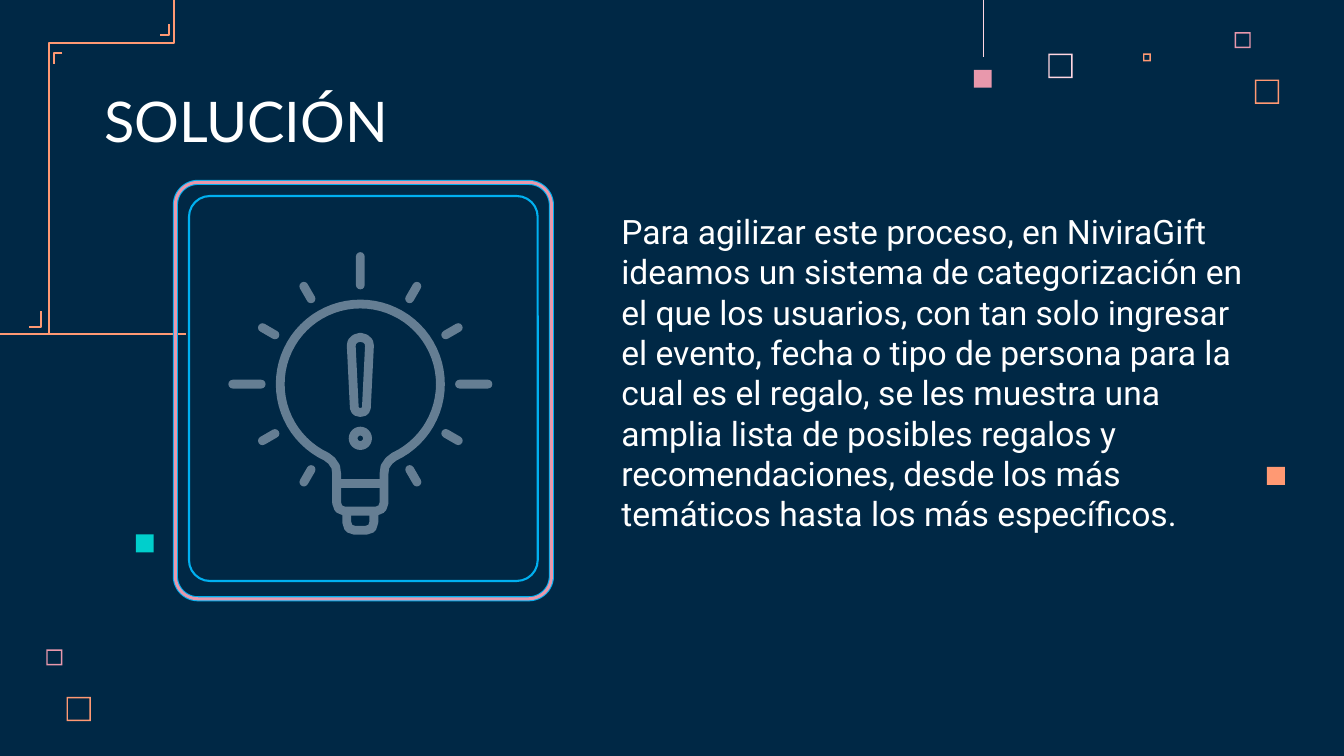
"""Build the solution slide: a framed light bulb beside a short text."""
from dataclasses import dataclass
from math import cos, radians, sin

from lxml.etree import SubElement
from pptx import Presentation
from pptx.dml.color import RGBColor
from pptx.enum.shapes import MSO_CONNECTOR, MSO_SHAPE
from pptx.enum.text import MSO_ANCHOR
from pptx.oxml.ns import qn
from pptx.util import Pt


@dataclass(frozen=True)
class Theme:
    navy: str = "002845"
    white: str = "FFFFFF"
    blush: str = "FFD6E1"
    pink: str = "E898AC"
    coral: str = "FF9973"
    teal: str = "00CFCC"
    blue: str = "00B0F0"
    slate: str = "657E93"
    title: int = 40
    body: int = 24


theme = Theme()
deck = Presentation()
deck.slide_width, deck.slide_height = Pt(960), Pt(540)
slide = deck.slides.add_slide(deck.slide_layouts[6])
slide.background.fill.solid()
slide.background.fill.fore_color.rgb = RGBColor.from_string(theme.navy)
shapes = slide.shapes


def paint(shape, fill=None, line=None, width=1):
    """Set the fill and the outline, and drop the shadow."""
    shape.shadow.inherit = False
    for part, tone in ((shape.fill, fill), (shape.line.fill, line)):
        if tone:
            part.solid()
            part.fore_color.rgb = RGBColor.from_string(tone)
        else:
            part.background()
    if line:
        shape.line.width = Pt(width)


def trace(points, tone, width, close=False):
    """Draw an unfilled outline through the points."""
    spots = [(Pt(x), Pt(y)) for x, y in points]
    pen = shapes.build_freeform(*spots[0])
    pen.add_line_segments(spots[1:], close=close)
    paint(pen.convert_to_shape(), line=tone, width=width)


hollow = [
    (748.8, 38.4, 17.4, theme.blush),
    (882, 23, 11.4, theme.pink),
    (816.5, 38.2, 5.6, theme.coral),
    (896.4, 56.9, 17.3, theme.coral),
    (33.1, 463.9, 11.4, theme.pink),
    (47.6, 497.8, 17.3, theme.coral),
]
for left, top, size, tone in hollow:
    box = shapes.add_shape(MSO_SHAPE.FRAME, Pt(left), Pt(top), Pt(size), Pt(size))
    box.adjustments[0] = 1 / size
    paint(box, fill=tone)

solid = [
    (695.6, 49.9, theme.pink),
    (97, 381.8, theme.teal),
    (905, 333.5, theme.coral),
]
for left, top, tone in solid:
    box = shapes.add_shape(MSO_SHAPE.RECTANGLE, Pt(left), Pt(top), Pt(12.8), Pt(12.8))
    paint(box, fill=tone)

straight = [
    (702.6, 0, 702.6, 41, theme.blush, 0.75),
    (0, 238.8, 133.2, 238.8, theme.coral, 1.2),
]
for *ends, tone, width in straight:
    rule = shapes.add_connector(MSO_CONNECTOR.STRAIGHT, *map(Pt, ends))
    rule.line.color.rgb = RGBColor.from_string(tone)
    rule.line.width = Pt(width)
    SubElement(rule._element.spPr, qn("a:effectLst"))

bends = [
    [(124.2, 0), (124.2, 31), (34.9, 31), (34.9, 238.4)],
    [(29.4, 222.5), (29.4, 233.6), (20.9, 233.6)],
    [(44.6, 37.8), (38.6, 37.8), (38.6, 46)],
    [(120.7, 17.3), (120.7, 25.1), (114.5, 25.1)],
]
for bend in bends:
    trace(bend, theme.coral, 1.3)

mid, hub, stroke = 257.4, 274.4, 6.3
globe = [(57.2 * cos(radians(a)), 57.2 * sin(radians(a))) for a in range(-90, 66, 5)]
neck = [(20.5, 54.7), (17.6, 59), (16.9, 64.1), (16.9, 85), (15.5, 89), (11.5, 90.7)]
cap = [(9.7, 93.6), (9.7, 98.6), (8.3, 103), (4, 104.4)]
mark = [(0, -33.5), (3.5, -32.5), (6, -30.2), (6.5, -27.4),
        (4.3, 17), (3.2, 19.5), (0.5, 20.2)]
bar = [(16.9, 71)]
for half, close in ((globe + neck, True), (cap, False), (mark, True), (bar, False)):
    whole = half + [(-x, y) for x, y in reversed(half)]
    trace([(mid + x, hub + y) for x, y in whole], theme.slate, stroke, close)

dot = shapes.add_shape(MSO_SHAPE.DONUT, Pt(249.1), Pt(304.8), Pt(16.6), Pt(16.6))
dot.adjustments[0] = 0.38
paint(dot, fill=theme.slate)

for angle in range(0, 360, 30):
    if angle == 90:
        continue
    reach, size = (81, 26.6) if angle % 90 == 0 else (75.6, 16.6)
    x = mid + reach * cos(radians(angle)) - size / 2
    y = hub + reach * sin(radians(angle)) - stroke / 2
    ray = shapes.add_shape(MSO_SHAPE.ROUNDED_RECTANGLE, Pt(x), Pt(y), Pt(size), Pt(stroke))
    ray.adjustments[0] = 0.5
    ray.rotation = angle
    paint(ray, fill=theme.slate)

outer, inner = (125.3, 130.3, 268.6, 297.4), (135, 140, 249.1, 275)
for place, tone, width in (
    (outer, theme.blue, 3.65), (outer, theme.pink, 2.15), (inner, theme.blue, 1.5)
):
    frame = shapes.add_shape(MSO_SHAPE.ROUNDED_RECTANGLE, *map(Pt, place))
    frame.adjustments[0] = 0.06
    paint(frame, line=tone, width=width)

story = (
    "Para agilizar este proceso, en NiviraGift ideamos un sistema de categorización "
    "en el que los usuarios, con tan solo ingresar el evento, fecha o tipo de persona "
    "para la cual es el regalo, se les muestra una amplia lista de posibles regalos y "
    "recomendaciones, desde los más temáticos hasta los más específicos."
)
texts = [
    ("SOLUCIÓN", (64.8, 59, 645.8, 60.5), "Lato", theme.title, MSO_ANCHOR.BOTTOM),
    (story, (434.2, 141.1, 470.9, 221.8), "Roboto", theme.body, MSO_ANCHOR.TOP),
]
for words, place, face, size, anchor in texts:
    body = shapes.add_textbox(*map(Pt, place)).text_frame
    format = {
        "word_wrap": True,
        "vertical_anchor": anchor,
        "margin_left": Pt(9.6),
        "margin_right": Pt(9.6),
        "margin_top": Pt(9.6),
        "margin_bottom": Pt(9.6),
    }
    for name, value in format.items():
        setattr(body, name, value)
    run = body.paragraphs[0].add_run()
    run.text = words
    for name, value in {"name": face, "size": Pt(size)}.items():
        setattr(run.font, name, value)
    run.font.color.rgb = RGBColor.from_string(theme.white)

deck.save("out.pptx")
